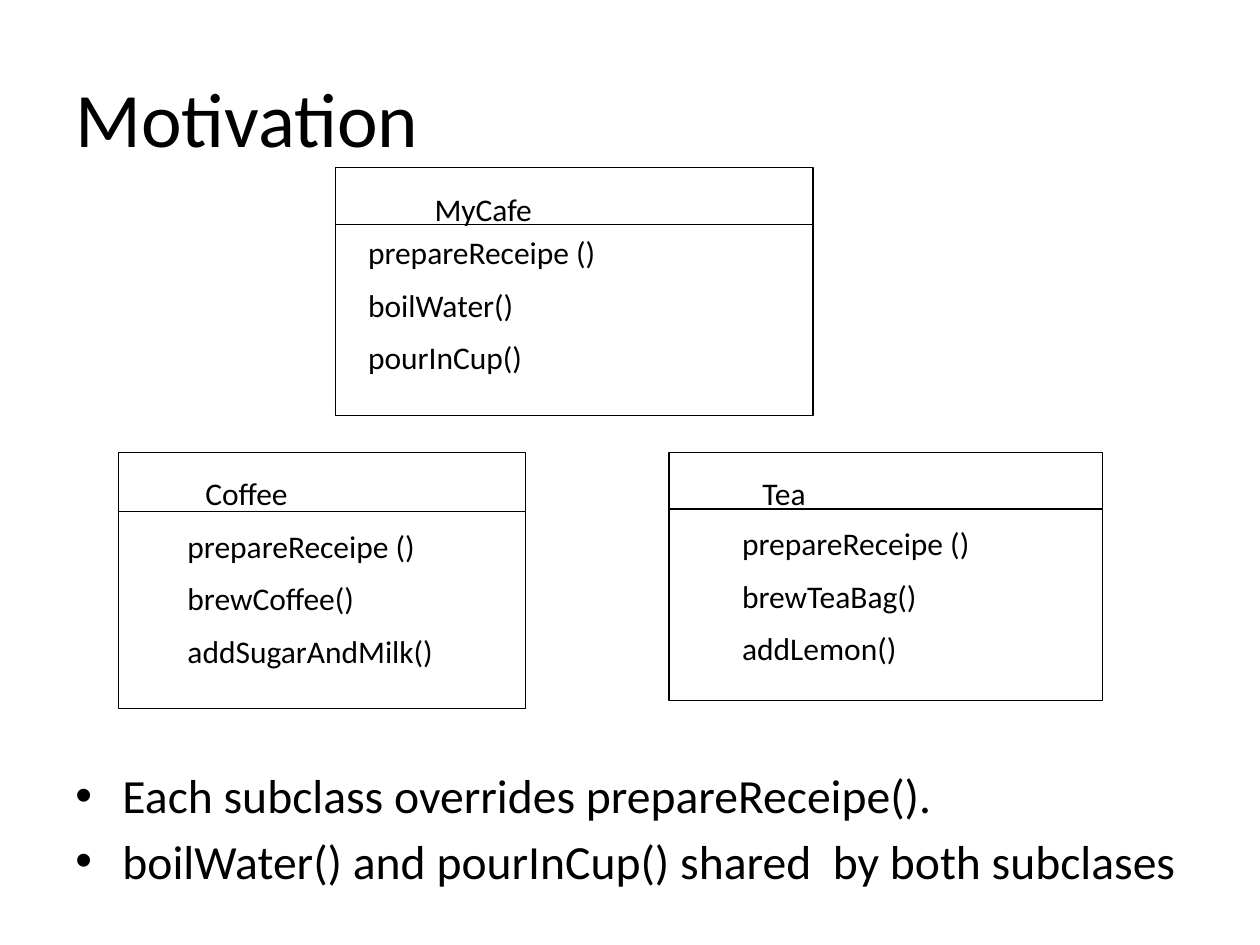
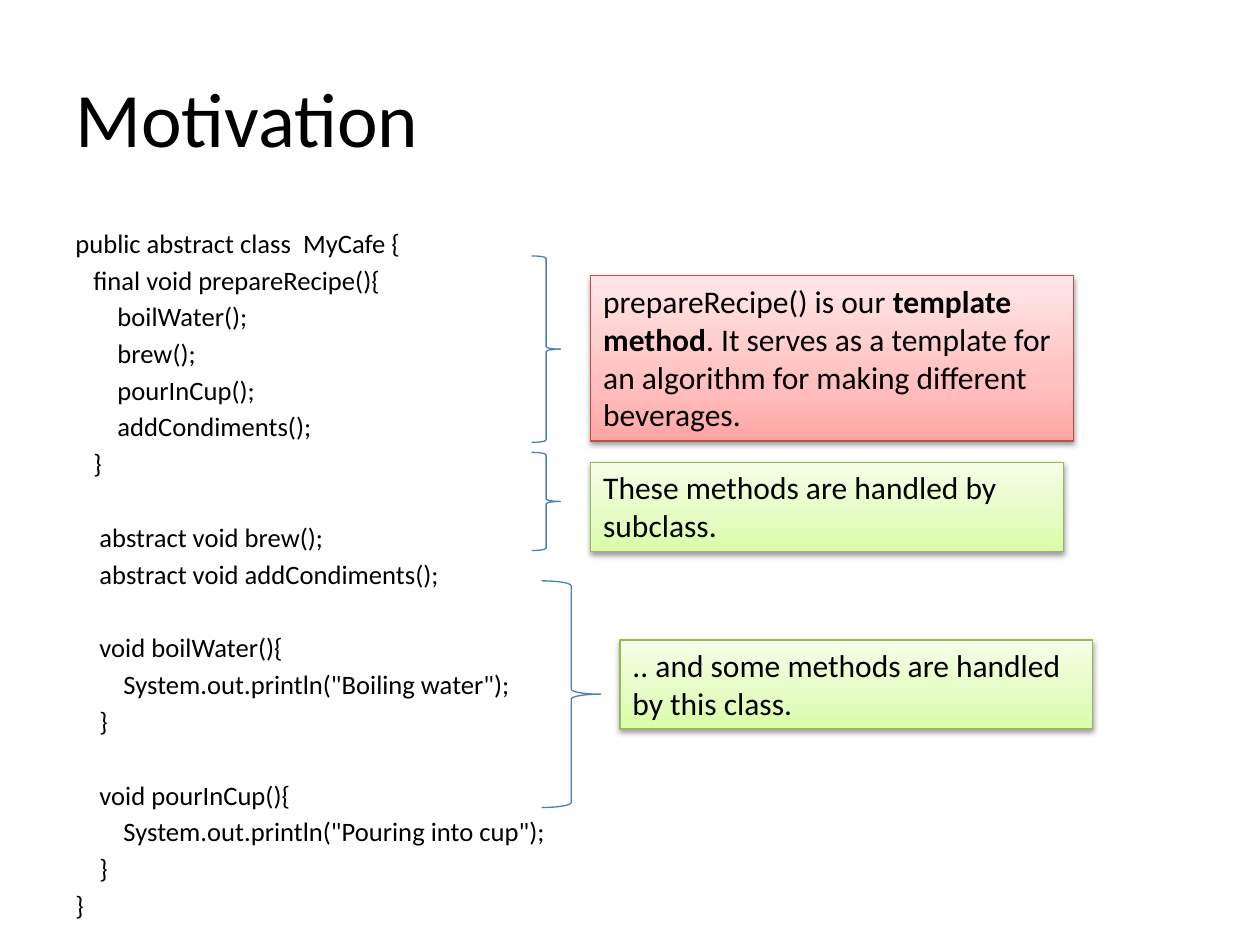
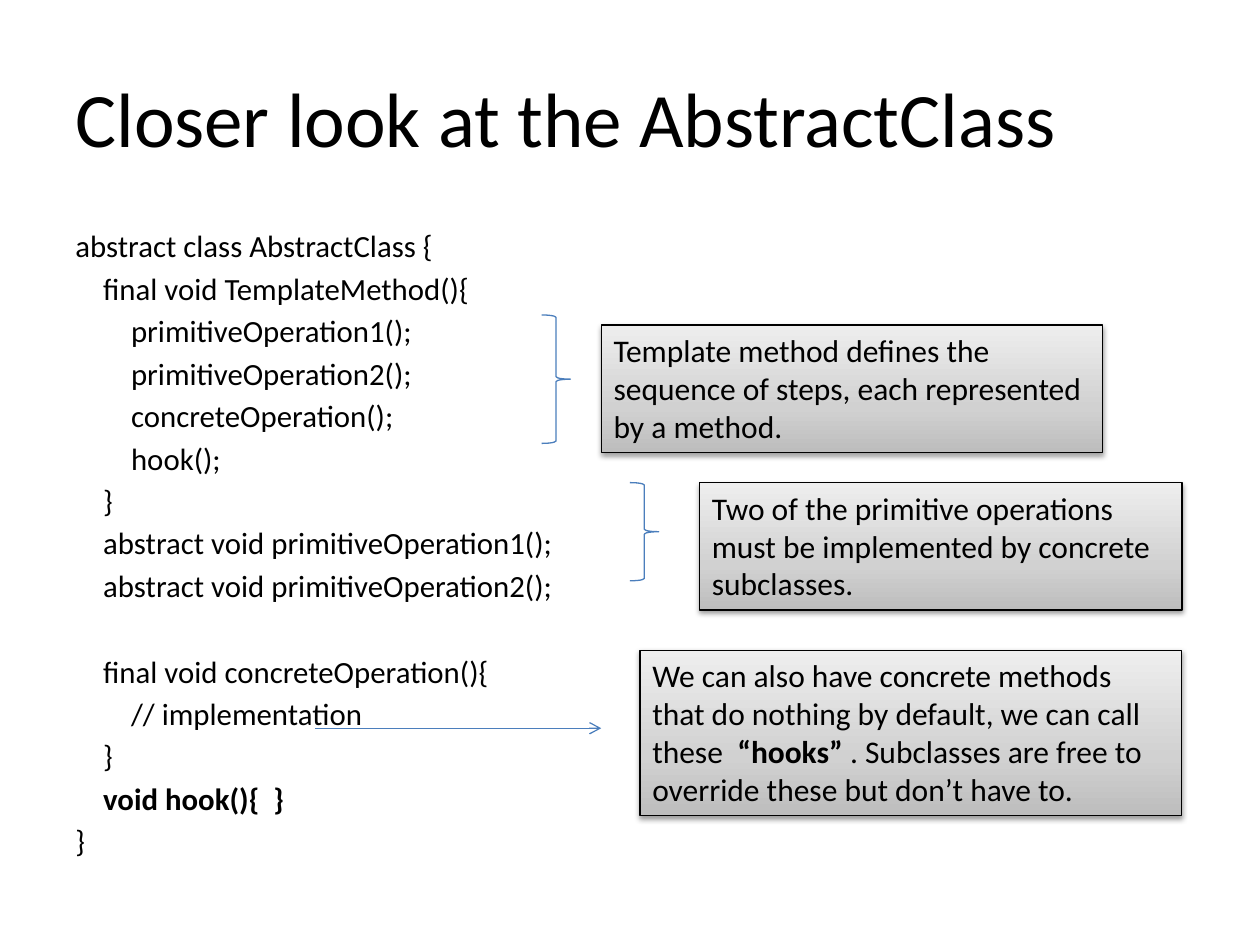
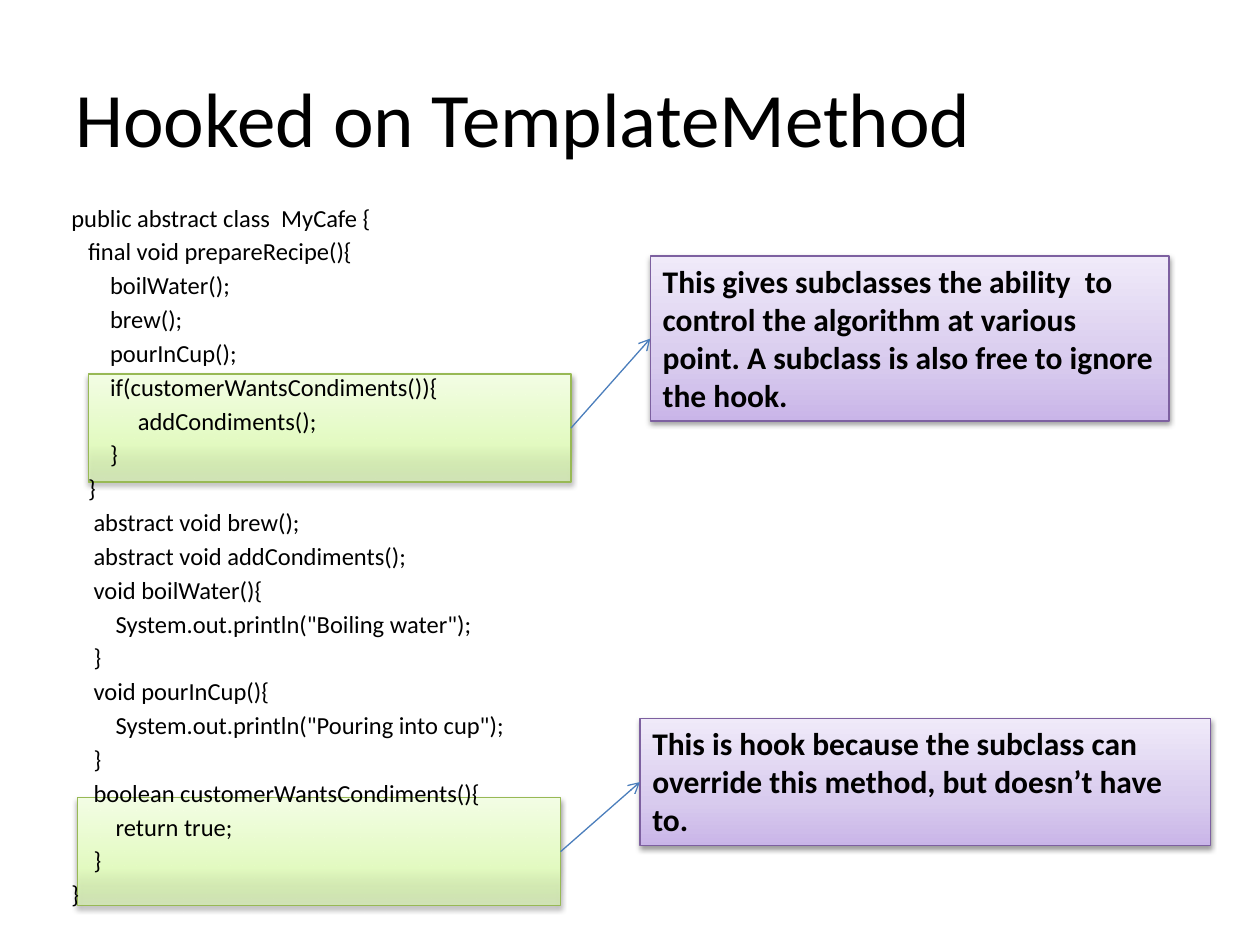
from lxml import etree
from pptx import Presentation
from pptx.dml.color import RGBColor
from pptx.enum.shapes import MSO_CONNECTOR, MSO_SHAPE
from pptx.enum.text import MSO_ANCHOR, PP_ALIGN
from pptx.oxml.ns import qn
from pptx.util import Cm, Pt

RECT, BRACE, LINE = MSO_SHAPE.RECTANGLE, MSO_SHAPE.RIGHT_BRACE, MSO_CONNECTOR.STRAIGHT
TOP, MIDDLE, LEFT = MSO_ANCHOR.TOP, MSO_ANCHOR.MIDDLE, PP_ALIGN.LEFT

FONT = "Calibri"
COLORS = {"black": "000000", "white": "FFFFFF", "accent": "4B7EBC"}
THEMES = {
    "red": {"line": "BF4C48", "stops": ("FFA6A5", "FFC0BF", "FFE7E7")},
    "green": {"line": "98B955", "stops": ("DAFDA7", "E4FCC2", "F5FFE7")},
    "gray": {"line": "000000", "stops": ("BDBDBD", "D1D1D1", "EEEEEE")},
    "purple": {"line": "7D60A0", "stops": ("C9B5E8", "D8CBEE", "F0EAF9")},
}
STOP_POSITIONS = (0, 35000, 100000)
SHADOW = {"blurRad": "40000", "dist": "20000", "dir": "5400000", "rotWithShape": "0"}

TITLE_BOX = (1.27, 0.76, 22.86, 3.18)
CODE_BOX = (1.27, 4.45, 22.86, 12.57)
LONG_CODE_BOX = (1.19, 3.96, 22.86, 15.09)
LINE_HEIGHT, LINE_GAP, SPACE_WIDTH = 1.22, 0.18, 0.226
BULLET_INDENT = Cm(0.95)

CAFE_CODE = """\
public abstract class  MyCafe {
   final void prepareRecipe(){
       boilWater();
       brew();
       pourInCup();
       addCondiments();
   }

    abstract void brew();
    abstract void addCondiments();

    void boilWater(){
        System.out.println("Boiling water");
    }

    void pourInCup(){
        System.out.println("Pouring into cup");
    }
}"""

ABSTRACT_CODE = """\
abstract class AbstractClass {
    final void TemplateMethod(){
        primitiveOperation1();
        primitiveOperation2();
        concreteOperation();
        hook();
    }
    abstract void primitiveOperation1();
    abstract void primitiveOperation2();

    final void concreteOperation(){
        // implementation
    }
    *void hook(){  }*
}"""

HOOK_CODE = """\
public abstract class  MyCafe {
   final void prepareRecipe(){
       boilWater();
       brew();
       pourInCup();
       if(customerWantsCondiments()){
            addCondiments();
       }
   }
    abstract void brew();
    abstract void addCondiments();
    void boilWater(){
        System.out.println("Boiling water");
    }
    void pourInCup(){
        System.out.println("Pouring into cup");
    }
    boolean customerWantsCondiments(){
        return true;
    }
}"""


def rgb(value):
    return RGBColor.from_string(value)


def apply(target, values):
    for name, value in values.items():
        setattr(target, name, value)


def stroke(s, color):
    s.line.color.rgb = rgb(color)
    s.line.width = Pt(0.75)


def add_paragraph(tf, text, size, gap=0):
    p = tf.paragraphs[0]
    if p.runs:
        p = tf.add_paragraph()
    apply(p, {"alignment": LEFT, "space_before": Pt(gap)})
    for i, part in enumerate(text.split("*")):
        if part:
            r = p.add_run()
            r.text = part
            apply(r.font, {"name": FONT, "size": Pt(size), "bold": i % 2 == 1})
            r.font.color.rgb = rgb(COLORS["black"])
    return p


def add_text(sl, box, lines, size, gap=0, anchor=TOP):
    tf = sl.shapes.add_textbox(*map(Cm, box)).text_frame
    apply(tf, {"word_wrap": True, "vertical_anchor": anchor})
    return [add_paragraph(tf, line, size, gap) for line in lines]


def add_title(sl, text, box=TITLE_BOX):
    add_text(sl, box, [text], 44, anchor=MIDDLE)


def add_bullets(sl, box, lines):
    size = 27.2
    for p in add_text(sl, box, lines, size, size * LINE_GAP):
        pPr = p._p.get_or_add_pPr()
        pPr.set("marL", str(BULLET_INDENT))
        pPr.set("indent", str(-BULLET_INDENT))
        etree.SubElement(pPr, qn("a:buFont"), typeface="Arial")
        etree.SubElement(pPr, qn("a:buChar"), char="•")


def add_code(sl, box, code, size):
    tf = sl.shapes.add_textbox(*map(Cm, box)).text_frame
    apply(tf, {"word_wrap": True, "vertical_anchor": TOP})
    gap = LINE_GAP * size
    skipped = 0
    for line in code.splitlines():
        text = line.lstrip()
        if not text:
            skipped += LINE_HEIGHT * size + gap
            continue
        p = add_paragraph(tf, text, size, gap + skipped)
        indent = Pt((len(line) - len(text)) * SPACE_WIDTH * size)
        p._p.get_or_add_pPr().set("marL", str(indent))
        skipped = 0


def add_line(sl, start, end, color):
    c = sl.shapes.add_connector(LINE, *map(Cm, start + end))
    stroke(c, color)
    etree.SubElement(c._element.spPr, qn("a:effectLst"))
    return c


def add_arrow(sl, start, end):
    c = add_line(sl, start, end, COLORS["accent"])
    ln = c._element.spPr.find(qn("a:ln"))
    etree.SubElement(ln, qn("a:tailEnd"), type="arrow")


def add_shape(sl, kind, box, line):
    s = sl.shapes.add_shape(kind, *map(Cm, box))
    s.shadow.inherit = False
    stroke(s, line)
    return s


def add_brace(sl, box):
    add_shape(sl, BRACE, box, COLORS["accent"]).fill.background()


def add_panel(sl, box, theme, first_alpha=None):
    s = add_shape(sl, RECT, box, THEMES[theme]["line"])
    s.fill.gradient()
    s.fill.gradient_angle = 90
    spPr = s._element.spPr
    stops = spPr.find(qn("a:gradFill")).find(qn("a:gsLst"))
    for gs in list(stops):
        stops.remove(gs)
    for pos, color in zip(STOP_POSITIONS, THEMES[theme]["stops"]):
        gs = etree.SubElement(stops, qn("a:gs"), pos=str(pos))
        clr = etree.SubElement(gs, qn("a:srgbClr"), val=color)
        if first_alpha and pos == 0:
            etree.SubElement(clr, qn("a:alpha"), val=str(first_alpha))
    shadow = etree.SubElement(spPr.find(qn("a:effectLst")), qn("a:outerShdw"), SHADOW)
    clr = etree.SubElement(shadow, qn("a:srgbClr"), val=COLORS["black"])
    etree.SubElement(clr, qn("a:alpha"), val="38000")
    return s


def add_callout(sl, box, theme, *lines, wrap=True):
    tf = add_panel(sl, box, theme).text_frame
    apply(tf, {"word_wrap": wrap, "vertical_anchor": TOP})
    for line in lines:
        add_paragraph(tf, line, 18)


def add_class(sl, box, name, methods, name_dx, methods_dx, rule_dy, gap_dy):
    x, y, w, h = box
    s = add_shape(sl, RECT, box, COLORS["black"])
    s.fill.solid()
    s.fill.fore_color.rgb = rgb(COLORS["white"])
    rule_y = y + rule_dy
    add_text(sl, (x + name_dx, y + 0.32, w - name_dx, 0.85), [name], 18)
    add_line(sl, (x, rule_y), (x + w, rule_y), COLORS["black"])
    methods_box = (x + methods_dx, rule_y + gap_dy, w - methods_dx, h - rule_dy - gap_dy)
    add_text(sl, methods_box, methods, 18, 8.5)


def add_hook(sl, box, callout_box, lines, wrap):
    x, y, w, h = box
    cx, cy, _, ch = callout_box
    add_callout(sl, callout_box, "purple", *[f"*{line}*" for line in lines], wrap=wrap)
    add_arrow(sl, (x + w, y + h / 2), (cx, cy + ch / 2))


def classes_slide(sl):
    add_title(sl, "Motivation")
    add_bullets(sl, (1.27, 15.32, 22.86, 2.4), [
        "Each subclass overrides prepareReceipe().",
        "boilWater() and pourInCup() shared  by both subclases",
    ])
    add_class(sl, (6.76, 3.38, 9.63, 5), "MyCafe",
              ["prepareReceipe ()", "boilWater()", "pourInCup()"], 1.75, 0.41, 1.14, 0.05)
    add_class(sl, (13.49, 9.12, 8.74, 5), "Tea",
              ["prepareReceipe ()", "brewTeaBag()", "addLemon()"], 1.63, 1.22, 1.14, 0.18)
    add_class(sl, (2.39, 9.12, 8.2, 5.16), "Coffee",
              ["prepareReceipe ()", "brewCoffee()", "addSugarAndMilk()"], 1.5, 1.14, 1.19, 0.18)


def cafe_slide(sl):
    add_title(sl, "Motivation")
    add_code(sl, CODE_BOX, CAFE_CODE, 15.2)
    for box in ((10.72, 9.12, 0.58, 1.98), (10.72, 5.16, 0.58, 3.76), (10.92, 11.71, 1.19, 4.57)):
        add_brace(sl, box)
    add_callout(sl, (11.91, 5.56, 9.73, 3.33), "red",
                "prepareRecipe() is our *template method*. It serves as a template for "
                "an algorithm for making different beverages.")
    add_callout(sl, (11.91, 9.32, 9.53, 1.8), "green", "These methods are handled by subclass.")
    add_callout(sl, (12.5, 12.9, 9.53, 1.8), "green",
                ".. and some methods are handled by this class.")


def abstract_slide(sl):
    add_title(sl, "Closer look at the AbstractClass")
    add_code(sl, CODE_BOX, ABSTRACT_CODE, 17.6)
    for box in ((10.92, 6.35, 0.58, 2.59), (12.7, 9.73, 0.58, 1.98)):
        add_brace(sl, box)
    add_callout(sl, (12.12, 6.55, 10.11, 2.57), "gray",
                "Template method defines the sequence of steps, each represented by a method.")
    add_callout(sl, (14.1, 9.73, 9.73, 2.57), "gray",
                "Two of the primitive operations must be implemented by concrete subclasses.")
    add_callout(sl, (12.9, 13.11, 10.92, 3.33), "gray",
                "We can also have concrete methods that do nothing by default, we can call "
                "these  *“hooks” *. Subclasses are free to override these but don’t have to.")
    add_arrow(sl, (6.35, 14.68), (12.12, 14.68))


def hook_slide(sl):
    condition_box = (1.78, 7.54, 9.73, 2.18)
    method_box = (1.57, 16.08, 9.73, 2.18)
    for box in (condition_box, method_box):
        add_panel(sl, box, "green", 50000)
    add_title(sl, "Hooked on TemplateMethod")
    add_code(sl, LONG_CODE_BOX, HOOK_CODE, 14)
    add_hook(sl, method_box, (12.9, 14.48, 11.51, 2.57), [
        "This is hook because the subclass can",
        "override this method, but doesn’t have to.",
    ], True)
    add_hook(sl, condition_box, (13.11, 5.16, 10.46, 3.33), [
        "This gives subclasses the ability  to",
        "control the algorithm at various",
        "point. A subclass is also free to ignore",
        "the hook.",
    ], False)


def main():
    prs = Presentation()
    apply(prs, {"slide_width": Cm(25.4), "slide_height": Cm(19.05)})
    for build in (classes_slide, cafe_slide, abstract_slide, hook_slide):
        build(prs.slides.add_slide(prs.slide_layouts[6]))
    prs.save("out.pptx")


if __name__ == "__main__":
    main()
